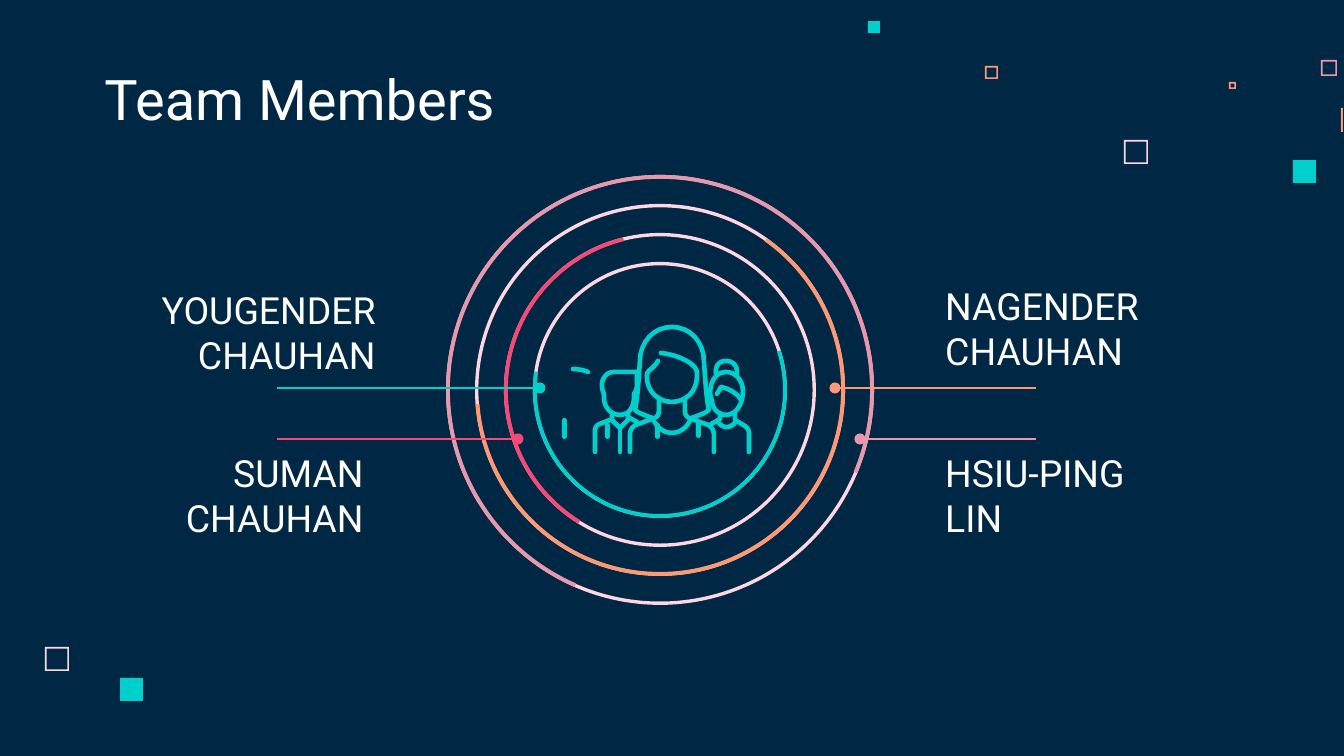
from dataclasses import dataclass

from lxml import etree
from pptx import Presentation
from pptx import util as u
from pptx.dml.color import RGBColor
from pptx.enum import shapes, text
from pptx.oxml import ns

PX = 914400 / 134.4  # EMU in one px


@dataclass(frozen=True)
class Theme:
    font: str = "Roboto"
    navy: str = "002845"
    white: str = "FFFFFF"
    blush: str = "FFD6E1"
    rose: str = "E898AC"
    orange: str = "FF9973"
    red: str = "F64975"
    teal: str = "00CFCC"
    title_size: int = 30
    label_size: int = 20
    lead_line: float = 1.5
    icon_line: float = 2.5


THEME = Theme()
SHAPE = shapes.MSO_SHAPE
ALIGN = text.PP_ALIGN
ANCHOR = text.MSO_ANCHOR

# Centre lines of the icon's strokes, in px from the icon's corner
WOMAN = [
    "M 90 93 C 82 90 76 88 73 85 C 75 78 76 63 78 36 C 78 17 92 2 110 2 "
    "C 128 2 142 17 142 36 C 144 63 145 78 147 85 C 144 88 138 90 130 93",
    "M 96 36 C 93 43 85 45 85 50 L 85 52 C 85 66 96 77 110 77 "
    "C 124 77 135 66 135 52 L 135 47 C 135 40 118 30 99 28",
    "M 97 76 L 97 85 C 97 90 95 92 93 93 L 74 100 C 70 102 68 106 68 110 L 68 127",
    "M 123 76 L 123 85 C 123 90 125 92 127 93 L 146 100 "
    "C 150 102 152 106 152 110 L 152 127",
    "M 91 94 C 95 103 102 108 110 108 C 118 108 125 103 129 94",
]
BOY = [
    "M 75 47 L 52 47 C 45 47 40 53 40 60 C 40 64 41 66 42 69 L 42 73 "
    "C 42 82 49 90 58 90 C 67 90 72 82 72 73 L 72 69 C 74 66 75 64 75 60 L 75 47",
    "M 50 88 L 50 91 C 50 93 50 95 48 95 L 38 99 C 35 100 33 102 33 106 L 33 127",
    "M 50 95 L 58 103 L 66 95 L 66 88",
    "M 58 103 L 58 127",
    "M 66 92 L 75 97",
]
GIRL = [
    "M 154 49 C 153 41 157 36 164 36 C 171 36 176 41 175 49",
    "M 164 47 C 173 47 181 55 181 66 C 181 80 174 90 164 90 "
    "C 155 90 150 82 150 75 C 146 70 148 47 164 47",
    "M 155 69 C 157 66 158 64 159 62 C 168 64 176 69 179 75",
    "M 158 88 L 158 94 L 148 100",
    "M 156 97 C 161 104 168 104 174 97",
    "M 173 88 L 173 95 L 183 101 C 186 103 187 106 187 108 L 187 127",
]
DASH = ["M 11 44 C 15 44 22 45 26 47"]
BARS = [(43, 98, 5, 16), (93, 98, 5, 16), (0, 93, 5, 21), (134, 95, 5, 18)]


def px(*lengths):
    return [u.Emu(round(length * PX)) for length in lengths]


def colour(name):
    return RGBColor.from_string(name)


def write_text(frame, words, size, align=ALIGN.LEFT, anchor=ANCHOR.TOP):
    frame.word_wrap = True
    frame.auto_size = text.MSO_AUTO_SIZE.NONE
    frame.vertical_anchor = anchor
    frame.margin_left = frame.margin_right = u.Inches(0.1)
    frame.margin_top = frame.margin_bottom = u.Inches(0.1)
    for index, line in enumerate(words.split("\n")):
        para = frame.add_paragraph() if index else frame.paragraphs[0]
        para.alignment = align
        span = para.add_run()
        span.text = line
        span.font.name = THEME.font
        span.font.size = u.Pt(size)
        span.font.color.rgb = colour(THEME.white)


def add_filled(page, kind, box, fill, adjust=()):
    shape = page.shapes.add_shape(kind, *px(*box))
    shape.shadow.inherit = False
    shape.fill.solid()
    shape.fill.fore_color.rgb = colour(fill)
    shape.line.fill.background()
    for index, value in enumerate(adjust):
        shape.adjustments[index] = value
    return shape


def add_squares(page, left, top, squares):
    for x, y, side, fill, hollow in squares:
        kind = SHAPE.FRAME if hollow else SHAPE.RECTANGLE
        adjust = [1.6 / side] if hollow else []
        add_filled(page, kind, (left + x, top + y, side, side), fill, adjust)


def add_rings(page, left, top, width, height):
    # Each ring carries one coloured arc, given by its start and end in degrees
    arcs = [
        (THEME.rose, 113.4, 22.9),
        (THEME.orange, 305.2, 175.6),
        (THEME.red, 121.4, 256.4),
        (THEME.teal, 341.9, 188.4),
    ]
    boxes = [
        (left + 29 * i, top + 29 * i, width - 58 * i, height - 58 * i)
        for i in range(len(arcs))
    ]
    for box in boxes:
        add_filled(page, SHAPE.DONUT, box, THEME.blush, [3.4 / box[2]])
    for box, (fill, start, end) in zip(boxes, arcs):
        # Angles are stored in 60000ths, adjustments in 100000ths
        adjust = [start * 0.6, end * 0.6, 3.9 / box[2]]
        add_filled(page, SHAPE.BLOCK_ARC, box, fill, adjust)


def add_lead(page, start, end, y, line_colour):
    lead = page.shapes.add_connector(
        shapes.MSO_CONNECTOR.STRAIGHT, *px(start, y, end, y)
    )
    lead.line.color.rgb = colour(line_colour)
    lead.line.width = u.Pt(THEME.lead_line)
    etree.SubElement(lead.line._get_or_add_ln(), ns.qn("a:tailEnd"), type="oval")
    etree.SubElement(lead._element.spPr, ns.qn("a:effectLst"))


def add_member(page, box, name, align, anchor, lead):
    label = page.shapes.add_textbox(*px(*box))
    write_text(label.text_frame, name, THEME.label_size, align, anchor)
    add_lead(page, *lead)


def stroke_points(stroke, steps=8):
    """Turn a stroke of M, L and C commands into points in tenths of a px."""
    points = []
    for command in stroke.replace("L", "|L").replace("C", "|C").split("|"):
        kind, *numbers = command.split()
        values = [10 * int(number) for number in numbers]
        pairs = list(zip(values[::2], values[1::2]))
        if kind != "C":
            points += pairs
            continue
        curve = [points[-1], *pairs]
        for t in (step / steps for step in range(1, steps + 1)):
            weights = ((1 - t) ** 3, 3 * t * (1 - t) ** 2, 3 * t * t * (1 - t), t**3)
            points.append(
                tuple(sum(w * p[axis] for w, p in zip(weights, curve)) for axis in (0, 1))
            )
    return points


def add_strokes(page, left, top, strokes):
    lines = [stroke_points(stroke) for stroke in strokes]
    builder = page.shapes.build_freeform(*lines[0][0], scale=PX / 10)
    for index, points in enumerate(lines):
        if index:
            builder.move_to(*points[0])
        builder.add_line_segments(points[1:], close=False)
    figure = builder.convert_to_shape(*px(left, top))
    figure.shadow.inherit = False
    figure.fill.background()
    figure.line.color.rgb = colour(THEME.teal)
    figure.line.width = u.Pt(THEME.icon_line)
    outline = figure.line._get_or_add_ln()
    outline.set("cap", "rnd")
    etree.SubElement(outline, ns.qn("a:round"))


def add_icon(page, left, top):
    add_strokes(page, left, top, DASH)
    add_strokes(page, left, top, WOMAN + BOY + GIRL)
    for x, y, width, height in BARS:
        box = (left + x, top + y, width, height)
        add_filled(page, SHAPE.ROUNDED_RECTANGLE, box, THEME.teal, [0.5])


def build_team_page(deck):
    page = deck.slides.add_slide(deck.slide_layouts[5])
    page.background.fill.solid()
    page.background.fill.fore_color.rgb = colour(THEME.navy)

    # Scattered squares: top right with a bar at the slide's edge, then bottom left
    add_squares(page, 868, 21, [
        (256, 119, 24, THEME.blush, True),
        (453, 39, 16, THEME.rose, True),
        (361, 61, 7, THEME.orange, True),
        (425, 139, 23, THEME.teal, False),
        (117, 45, 13, THEME.orange, True),
        (0, 0, 12, THEME.teal, False),
    ])
    add_filled(page, SHAPE.RECTANGLE, (1341, 108, 2, 24), THEME.orange)
    add_squares(page, 45, 647, [
        (0, 0, 24, THEME.blush, True),
        (75, 31, 23, THEME.teal, False),
    ])

    # Title
    title = page.shapes.title
    title.left, title.top, title.width, title.height = px(91, 60, 695, 85)
    write_text(title.text_frame, "Team Members", THEME.title_size, anchor=ANCHOR.BOTTOM)

    # Rings, members with their leads, and the icon in the middle
    add_rings(page, 446, 175, 428, 430)
    upper, lower = 388, 439
    for member in [
        ((101, 274, 288, 99), "YOUGENDER CHAUHAN", ALIGN.RIGHT, ANCHOR.TOP,
         (277, 540, upper, THEME.teal)),
        ((932, 270, 288, 99), "NAGENDER CHAUHAN", ALIGN.LEFT, ANCHOR.TOP,
         (1036, 835, upper, THEME.orange)),
        ((101, 454, 276, 99), "SUMAN CHAUHAN", ALIGN.RIGHT, ANCHOR.BOTTOM,
         (277, 518, lower, THEME.red)),
        ((932, 454, 288, 99), "HSIU-PING\nLIN", ALIGN.LEFT, ANCHOR.BOTTOM,
         (1036, 860, lower, THEME.rose)),
    ]:
        add_member(page, *member)
    add_icon(page, 562, 325)


def main():
    deck = Presentation()
    deck.slide_width, deck.slide_height = px(1344, 756)
    build_team_page(deck)
    deck.save("out.pptx")


if __name__ == "__main__":
    main()
